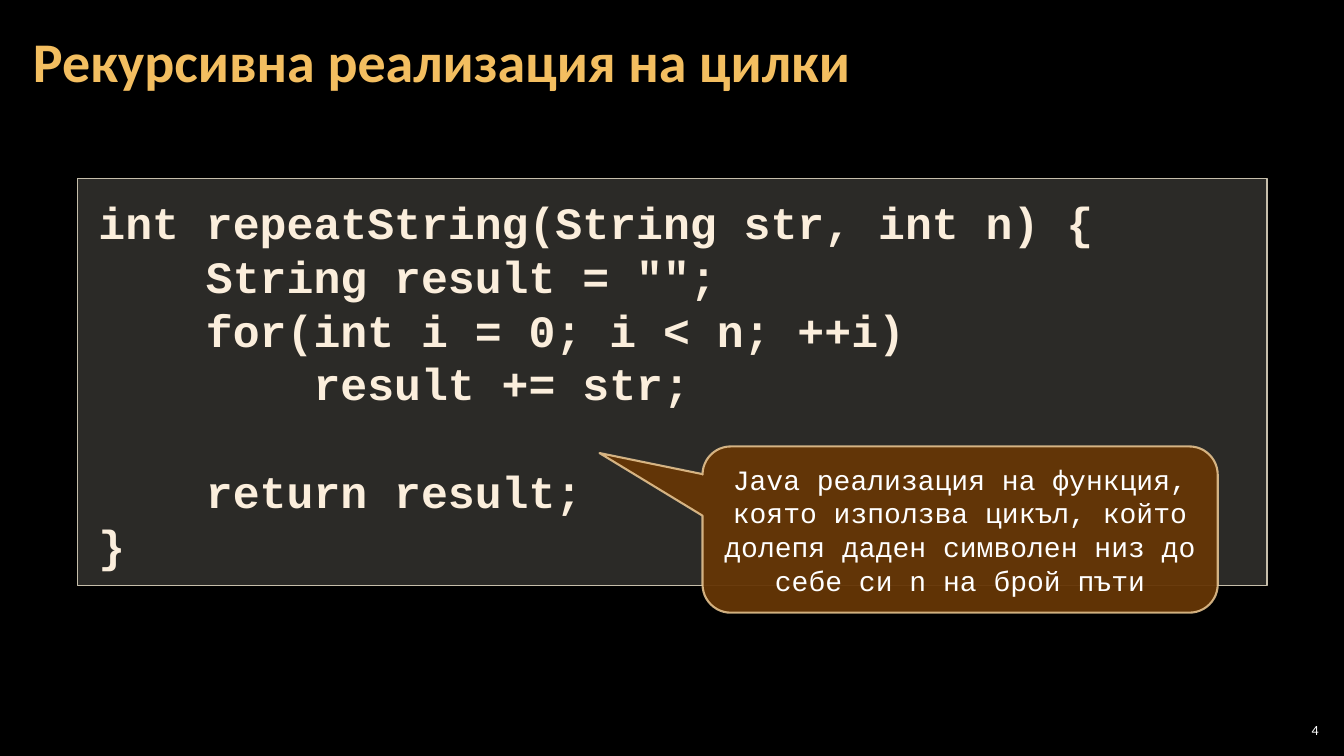
from dataclasses import dataclass

from lxml import etree
from pptx import Presentation
from pptx.dml.color import RGBColor
from pptx.enum.shapes import MSO_SHAPE
from pptx.enum.text import MSO_ANCHOR, PP_ALIGN
from pptx.oxml.ns import qn
from pptx.util import Cm, Pt

RECTANGLE = MSO_SHAPE.RECTANGLE
CALLOUT = MSO_SHAPE.ROUNDED_RECTANGULAR_CALLOUT
TOP, MIDDLE = MSO_ANCHOR.TOP, MSO_ANCHOR.MIDDLE
LEFT, CENTER, RIGHT = PP_ALIGN.LEFT, PP_ALIGN.CENTER, PP_ALIGN.RIGHT

TITLE = "Рекурсивна реализация на цилки"
CODE = """int repeatString(String str, int n) {
    String result = "";
    for(int i = 0; i < n; ++i)
        result += str;
        
    return result;
}"""
EXPLANATION = (
    "Java реализация на функция, която използва цикъл, "
    "който долепя даден символен низ до себе си n на брой пъти"
)


@dataclass(frozen=True)
class Theme:
    background: str = "000000"
    heading: str = "F3BE60"
    code: str = "FBEEDC"
    code_fill: str = "D9D4C6"
    code_border: str = "C6BEAB"
    plain: str = "FFFFFF"
    callout_fill: str = "663606"
    callout_border: str = "F8D49E"
    sans: str = "Calibri"
    mono: str = "Courier New"
    heading_size: int = 40
    code_size: int = 32
    callout_size: int = 20
    number_size: int = 10


class SlideBuilder:
    def __init__(self, slide, theme):
        self.slide = slide
        self.theme = theme
        background = slide.background.fill
        background.solid()
        background.fore_color.rgb = RGBColor.from_string(theme.background)

    def paint(self, fill, color, opacity):
        fill.solid()
        fill.fore_color.rgb = RGBColor.from_string(color)
        if opacity < 100:
            tint = fill._xPr.find(qn("a:solidFill")).find(qn("a:srgbClr"))
            alpha = etree.SubElement(tint, qn("a:alpha"))
            alpha.set("val", str(opacity * 1000))

    def set_text(self, frame, text, font, color, size, bold=False, align=LEFT,
                 anchor=MIDDLE, insets=(0.1, 0.1), spacing=1.0):
        side, edge = (Cm(inset) for inset in insets)
        layout = {
            "word_wrap": True, "vertical_anchor": anchor,
            "margin_left": side, "margin_right": side,
            "margin_top": edge, "margin_bottom": edge,
        }
        for name, value in layout.items():
            setattr(frame, name, value)
        style = {"name": font, "size": Pt(size), "bold": bold}
        for index, line in enumerate(text.split("\n")):
            paragraph = frame.add_paragraph() if index else frame.paragraphs[0]
            paragraph.alignment = align
            paragraph.line_spacing = spacing
            run = paragraph.add_run()
            run.text = line
            for name, value in style.items():
                setattr(run.font, name, value)
            run.font.color.rgb = RGBColor.from_string(color)

    def label(self, box, text, **style):
        area = self.slide.shapes.add_textbox(*map(Cm, box))
        self.set_text(area.text_frame, text, **style)

    def panel(self, kind, box, text, fill, border, adjustments=(), **style):
        panel = self.slide.shapes.add_shape(kind, *map(Cm, box))
        panel.shadow.inherit = False
        for index, value in enumerate(adjustments):
            panel.adjustments[index] = value
        self.paint(panel.fill, *fill)
        color, opacity, width = border
        self.paint(panel.line.fill, color, opacity)
        panel.line.width = Pt(width)
        self.set_text(panel.text_frame, text, **style)


def main():
    deck = Presentation()
    deck.slide_width, deck.slide_height = Cm(33.86), Cm(19.05)
    theme = Theme()
    builder = SlideBuilder(deck.slides.add_slide(deck.slide_layouts[6]), theme)

    builder.label(
        (0.53, 0.1, 32.8, 3.07), TITLE, font=theme.sans, color=theme.heading,
        size=theme.heading_size, bold=True, insets=(0.3, 0.1), spacing=0.9,
    )
    builder.panel(
        RECTANGLE, (1.95, 4.5, 29.97, 10.26), CODE,
        (theme.code_fill, 20), (theme.code_border, 100, 1),
        font=theme.mono, color=theme.code, size=theme.code_size, bold=True,
        anchor=TOP, insets=(0.53, 0.41),
    )
    builder.panel(
        CALLOUT, (17.7, 11.25, 12.98, 4.19), EXPLANATION,
        (theme.callout_fill, 95), (theme.callout_border, 80, 1.5),
        adjustments=(-0.7, -0.46, 0.17), font=theme.mono, color=theme.plain,
        size=theme.callout_size, align=CENTER, insets=(0.33, 0.18),
    )
    builder.label(
        (32.13, 18.14, 1.19, 0.53), "4", font=theme.sans, color=theme.plain,
        size=theme.number_size, align=RIGHT,
    )
    deck.save("out.pptx")


if __name__ == "__main__":
    main()
